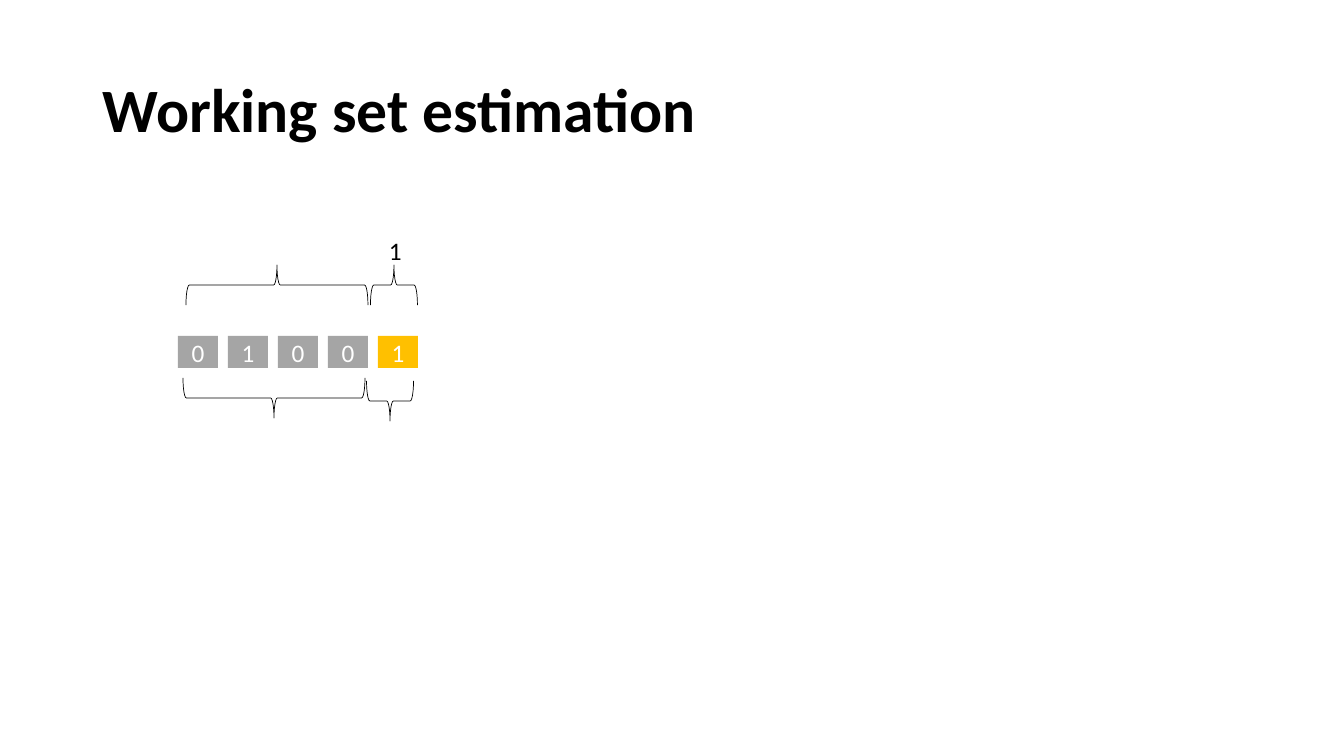
from pptx import Presentation, util as u
from pptx.dml.color import RGBColor
from pptx.enum import shapes as sh, text as tx

SCALE = 914400 / 100.8


def px(n):
    """Turn pixels into EMU."""
    return u.Emu(round(n * SCALE))


def color(code):
    """Turn a hex string into a colour."""
    return RGBColor.from_string(code)


def write(shape, words, size, code, bold=False):
    """Put one line of styled text in a shape."""
    frame = shape.text_frame
    frame.text = words
    para = frame.paragraphs[0]
    font = para.runs[0].font
    font.name, font.size, font.bold = "Calibri", u.Pt(size), bold
    font.color.rgb = color(code)
    return frame, para


def title(slide, box, words):
    """Place the title in its box."""
    shape = slide.shapes.add_textbox(*map(px, box))
    frame, para = write(shape, words, 44, "000000", True)
    frame.word_wrap = True
    frame.vertical_anchor = tx.MSO_ANCHOR.MIDDLE
    para.line_spacing = 0.9


def cell(slide, box, digit, fill):
    """Draw one bit as a filled cell."""
    shape = slide.shapes.add_shape(sh.MSO_SHAPE.RECTANGLE, *map(px, box))
    shape.shadow.inherit = False
    shape.fill.solid()
    shape.fill.fore_color.rgb = color(fill)
    shape.line.fill.background()
    frame, para = write(shape, digit, 18, "FFFFFF")
    frame.vertical_anchor = tx.MSO_ANCHOR.MIDDLE
    para.alignment = tx.PP_ALIGN.CENTER


def brace(slide, mid, y, span, turn):
    """Draw a brace lying on its side, centred on a point."""
    depth = 40
    box = (mid - depth / 2, y - span / 2, depth, span)
    shape = slide.shapes.add_shape(sh.MSO_SHAPE.RIGHT_BRACE, *map(px, box))
    shape.rotation = turn
    shape.shadow.inherit = False
    shape.fill.background()
    shape.line.color.rgb = color("000000")
    shape.line.width = u.Pt(0.5)


def bits(slide, box):
    """Place the row of bits, its braces and its label."""
    left, top, width, height = box
    digits = "01001"
    wide, high = 40, 32
    step = (width - wide) / (len(digits) - 1)
    last = len(digits) - 1
    for i, digit in enumerate(digits):
        fill = "FFC000" if i == last else "A5A5A5"
        cell(slide, (left + i * step, top + 106, wide, high), digit, fill)
    for mid, y, span, turn in ((99, 55, 182, 270), (216, 55, 47, 270),
                               (96, 168, 182, 90), (212, 171, 47, 90)):
        brace(slide, left + mid, top + y, span, turn)
    label = slide.shapes.add_textbox(*map(px, (left + 201, top, 33, 40)))
    frame, _ = write(label, "1", 18, "000000")
    frame.word_wrap = False
    frame.auto_size = tx.MSO_AUTO_SIZE.SHAPE_TO_FIT_TEXT


def main():
    """Build and save the slide."""
    deck = Presentation()
    deck.slide_width, deck.slide_height = px(1344), px(756)
    slide = deck.slides.add_slide(deck.slide_layouts[6])
    title(slide, (93, 40, 1159, 146), "Working set estimation")
    bits(slide, (178, 230, 240, 191))
    deck.save("out.pptx")


if __name__ == "__main__":
    main()
